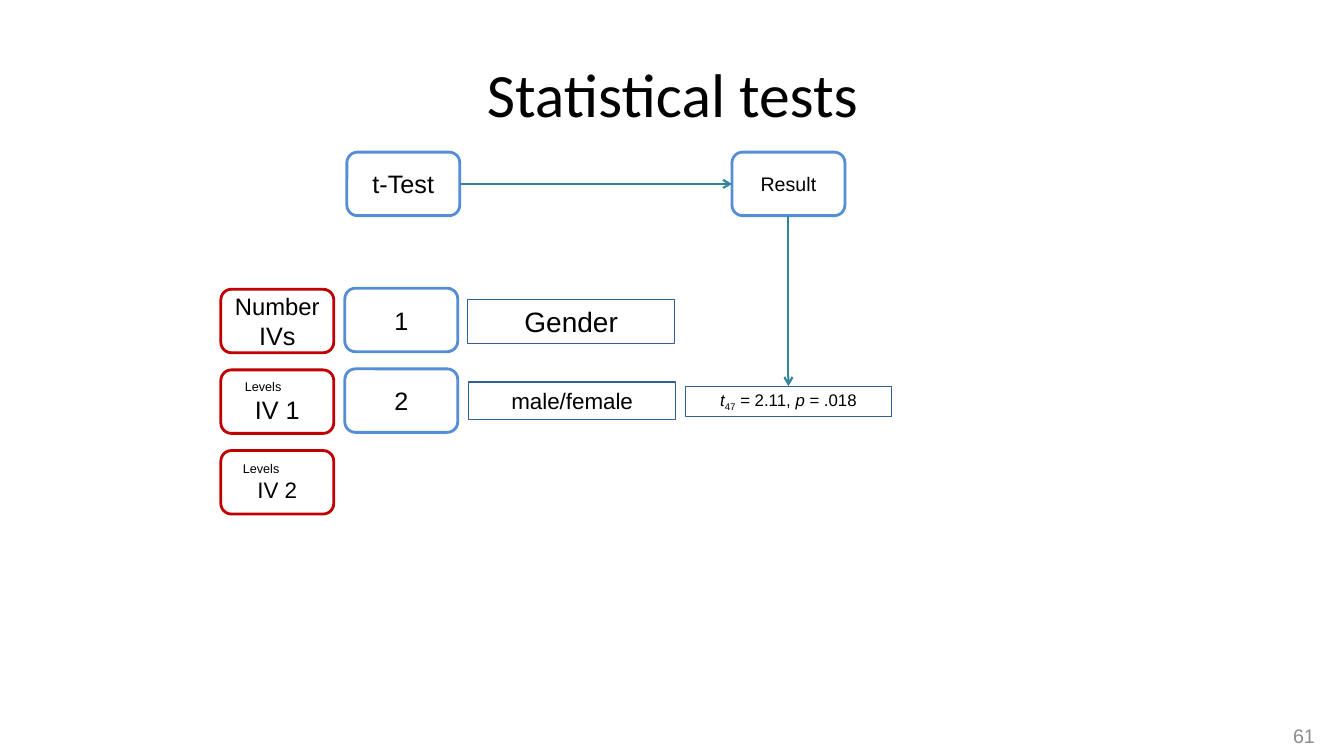
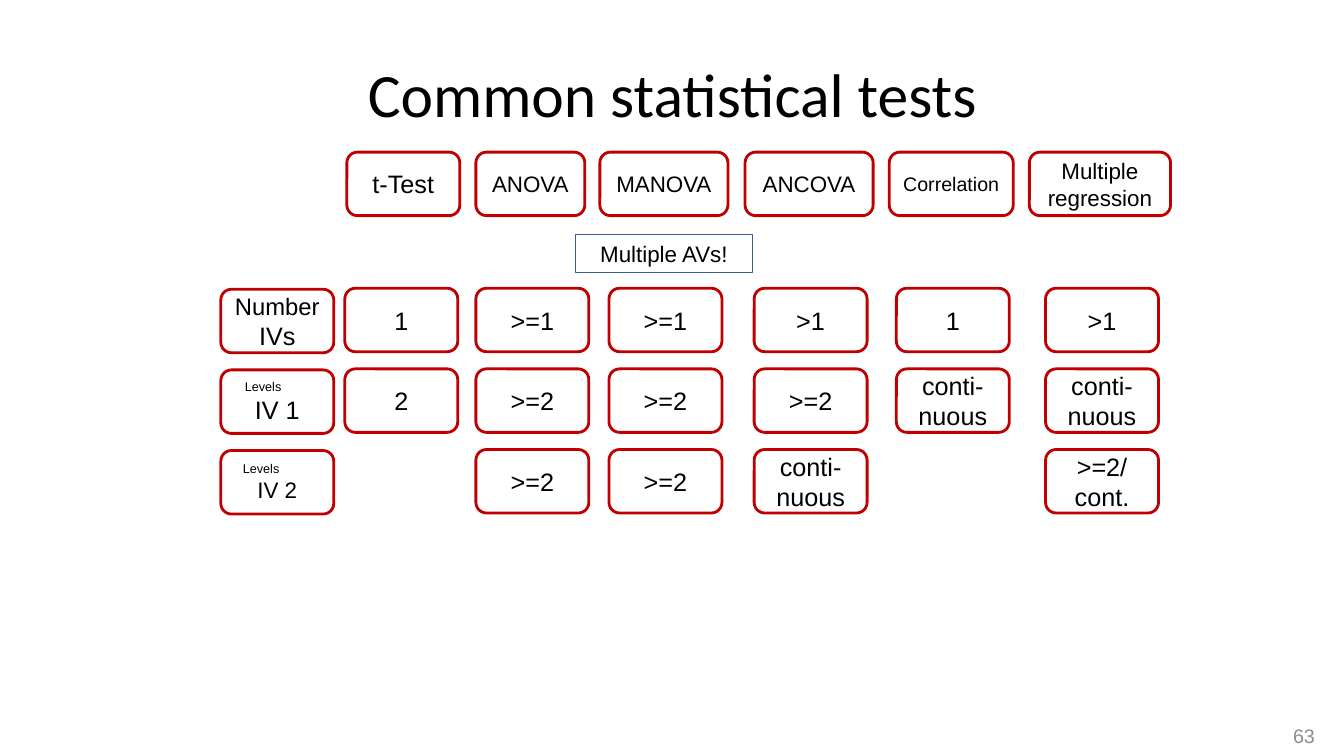
from dataclasses import dataclass

from lxml.etree import SubElement
from pptx import Presentation
from pptx.dml.color import RGBColor
from pptx.enum.shapes import MSO_CONNECTOR, MSO_SHAPE
from pptx.enum.text import MSO_ANCHOR, PP_ALIGN
from pptx.oxml.ns import qn
from pptx.util import Pt

PX = 9144  # EMU per px, 100 px to the inch


@dataclass(frozen=True)
class Theme:
    ink: str = "000000"
    red: str = "C00000"
    blue: str = "558ED5"
    navy: str = "376092"
    teal: str = "31859C"
    gray: str = "8C8C8C"
    head: str = "Calibri"
    body: str = "Arial"
    title: int = 44
    large: int = 20
    base: int = 18
    label: int = 17
    mid: int = 16
    small: int = 14
    note: int = 12
    tiny: int = 9


T = Theme()

# Shared grid: box size, top row, first body row and row step
BOX_W, BOX_H = 112, 63
HEAD_Y, ROW_Y, STEP = 151, 286, 80
COLS = (342, 472, 604, 748, 889, 1037)
LABEL_X = 219

# Row labels: text, size of each line, indent of the first line
LABELS = (
    ("Number\nIVs", (T.label, T.base), 0),
    ("Levels\nIV 1", (T.tiny, T.base), 11),
    ("Levels\nIV 2", (T.tiny, T.mid), 9),
)

# Test headings: left, width, text, size
TESTS = (
    (344, 112, "t-Test", T.base),
    (472, 108, "ANOVA", T.mid),
    (595, 127, "MANOVA", T.mid),
    (739, 127, "ANCOVA", T.mid),
    (882, 123, "Correlation", T.small),
    (1021, 140, "Multiple regression", T.mid),
)

# Body rows, one entry for each test
ROWS = (
    ("1", ">=1", ">=1", ">1", "1", ">1"),
    ("2", ">=2", ">=2", ">=2", "conti-nuous", "conti-nuous"),
    (None, ">=2", ">=2", "conti-nuous", None, ">=2/cont."),
)


def rgb(code):
    return RGBColor.from_string(code)


def style(font, size, color=T.ink, face=T.body):
    font.name = face
    font.size = Pt(size)
    font.color.rgb = rgb(color)


def write(shape, text, sizes, color=T.ink, align=PP_ALIGN.CENTER, face=T.body):
    """Fill a shape with text, one size for each line."""
    frame = shape.text_frame
    frame.word_wrap = True
    frame.vertical_anchor = MSO_ANCHOR.MIDDLE
    frame.text = text
    for para, size in zip(frame.paragraphs, sizes):
        para.alignment = align
        for run in para.runs:
            style(run.font, size, color, face)


def outline(slide, kind, area, color, width):
    shape = slide.shapes.add_shape(kind, *(n * PX for n in area))
    shape.shadow.inherit = False
    shape.fill.background()
    shape.line.color.rgb = rgb(color)
    shape.line.width = Pt(width)
    return shape


def box(slide, x, y, text, sizes, color=T.red, wide=BOX_W):
    area = (x, y, wide, BOX_H)
    shape = outline(slide, MSO_SHAPE.ROUNDED_RECTANGLE, area, color, 2)
    write(shape, text, sizes)
    return shape


def tag(slide, area, text, size):
    shape = outline(slide, MSO_SHAPE.RECTANGLE, area, T.navy, 0.75)
    write(shape, text, (size,))
    return shape


def arrow(slide, start, out, end, into):
    """Join two shapes at the given connection sites."""
    line = slide.shapes.add_connector(MSO_CONNECTOR.STRAIGHT, 0, 0, 0, 0)
    line.begin_connect(start, out)
    line.end_connect(end, into)
    line.line.color.rgb = rgb(T.teal)
    line.line.width = Pt(1.5)
    props = line._element.spPr
    SubElement(props.find(qn("a:ln")), qn("a:tailEnd"), type="arrow")
    SubElement(props, qn("a:effectLst"))


def labels(slide):
    for row, (text, sizes, indent) in enumerate(LABELS):
        shape = box(slide, LABEL_X, ROW_Y + 1 + row * STEP, text, sizes)
        if indent:
            para = shape.text_frame.paragraphs[0]
            para.alignment = PP_ALIGN.LEFT
            para._p.get_or_add_pPr().set("marL", str(indent * PX))


def result(shape):
    """Add the test statistic with its italics and subscript."""
    para = shape.text_frame.paragraphs[0]
    parts = (("t", True, 0), ("47", False, -25000), (" = 2.11, ", False, 0),
             ("p", True, 0), (" = .018", False, 0))
    for text, slant, base in parts:
        run = para.add_run()
        run.text = text
        style(run.font, T.note)
        run.font.italic = slant
        if base:
            run._r.get_or_add_rPr().set("baseline", str(base))


def page(deck, layout, title, number):
    """Start a slide with title, page number and row labels."""
    slide = deck.slides.add_slide(layout)
    write(slide.shapes.title, title, (T.title,), face=T.head)
    foot = slide.shapes.add_textbox(*(n * PX for n in (1003, 710, 311, 40)))
    write(foot, number, (T.small,), T.gray, PP_ALIGN.RIGHT)
    labels(slide)
    return slide


def sample(slide):
    # Test and result
    test = box(slide, 344, HEAD_Y, "t-Test", (T.base,), T.blue)
    goal = box(slide, 726, HEAD_Y, "Result", (T.small,), T.blue)
    # Variable and levels
    for row, text in enumerate("12"):
        box(slide, COLS[0], ROW_Y + row * STEP, text, (T.base,), T.blue)
    tag(slide, (464, 297, 205, 44), "Gender", T.large)
    tag(slide, (465, 379, 205, 37), "male/female", T.mid)
    # Statistic
    stat = tag(slide, (680, 383, 204, 30), "", T.note)
    result(stat)
    arrow(slide, test, 3, goal, 1)
    arrow(slide, goal, 2, stat, 0)


def survey(slide):
    # Headings
    for x, wide, text, size in TESTS:
        box(slide, x, HEAD_Y, text, (size,), wide=wide)
    tag(slide, (571, 233, 175, 37), "Multiple AVs!", T.mid)
    # Grid of requirements
    for row, cells in enumerate(ROWS):
        for x, text in zip(COLS, cells):
            if text:
                box(slide, x, ROW_Y + row * STEP, text, (T.base,))


def main():
    deck = Presentation()
    deck.slide_width, deck.slide_height = 1333 * PX, 750 * PX
    layout = deck.slide_layouts[5]
    head = layout.placeholders[0]
    head.left, head.top, head.width, head.height = (
        n * PX for n in (67, 30, 1200, 125))
    sample(page(deck, layout, "Statistical tests", "61"))
    survey(page(deck, layout, "Common statistical tests", "63"))
    deck.save("out.pptx")


if __name__ == "__main__":
    main()
